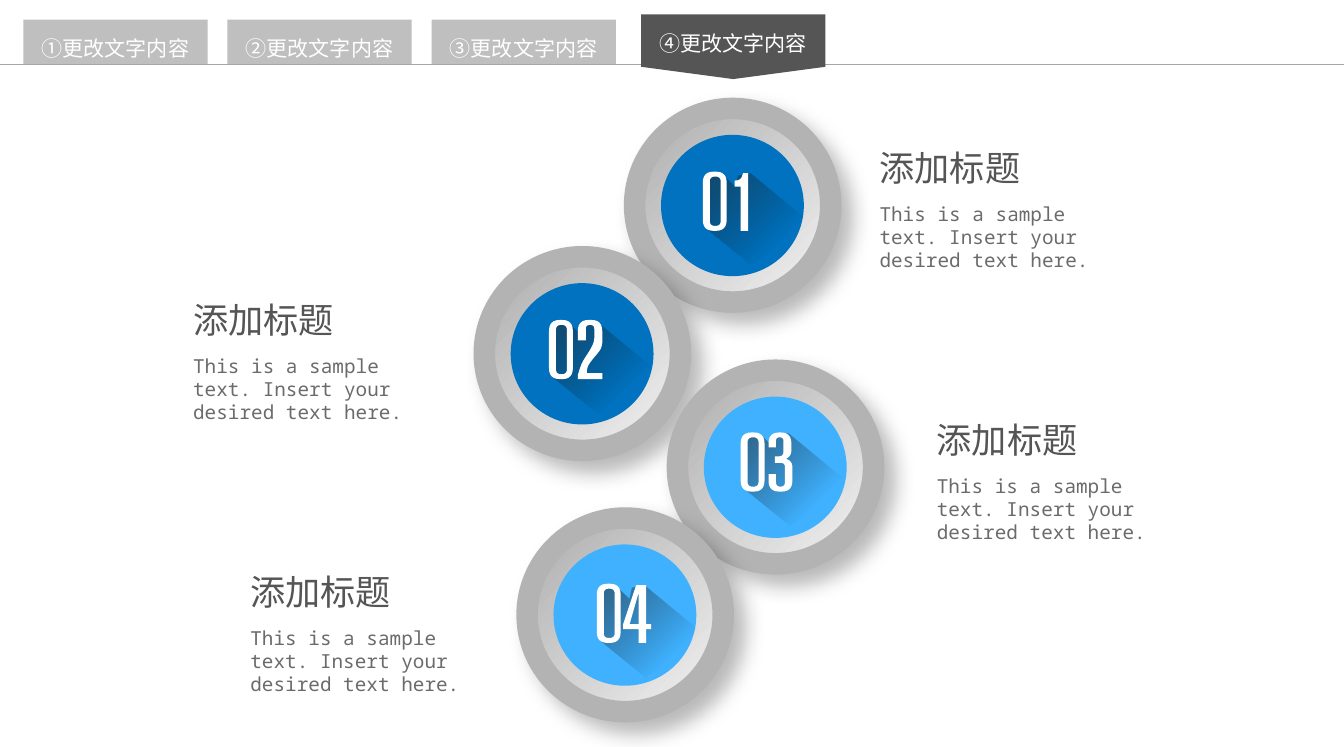
from math import dist

from lxml.etree import SubElement
from pptx import Presentation
from pptx.dml.color import RGBColor
from pptx.enum.shapes import MSO_CONNECTOR as Connector, MSO_SHAPE as Preset
from pptx.enum.text import MSO_ANCHOR as Anchor, MSO_AUTO_SIZE as AutoSize, PP_ALIGN as Align
from pptx.oxml.ns import qn
from pptx.util import Cm, Pt

WHITE = RGBColor(0xFF, 0xFF, 0xFF)
BLACK = RGBColor(0x00, 0x00, 0x00)
DARK = RGBColor(0x55, 0x55, 0x55)
TEXT_GRAY = RGBColor(0x6B, 0x6B, 0x6B)
TAB_GRAY = RGBColor(0xBF, 0xBF, 0xBF)
RULE_GRAY = RGBColor(0xA6, 0xA6, 0xA6)
RING_GRAY = RGBColor(0xB3, 0xB3, 0xB3)
DISC_DARK = RGBColor(0xAD, 0xAD, 0xAD)
DISC_LIGHT = RGBColor(0xF3, 0xF3, 0xF3)
SHADE = RGBColor(0x27, 0x27, 0x27)
SHADE_DEEP = RGBColor(0x0D, 0x0D, 0x0D)
BLUE = RGBColor(0x00, 0x72, 0xBF)
SKY = RGBColor(0x3F, 0xB1, 0xFF)

HEADING_FONT = "Noto Sans CJK SC"
BODY_FONT = "Noto Sans Mono"
HEADING = "添加标题"
BODY = "This is a sample text. Insert your desired text here."
TABS = ["①更改文字内容", "②更改文字内容", "③更改文字内容"]
ACTIVE_TAB = "④更改文字内容"

LONG_SHADE = [[(0.99, 1.88), (0.08, 1.14), (0.08, 0.1), (0.43, 0.08),
               (0.66, 0.3), (0.71, 0.08), (0.96, 0.03), (2.12, 0.99)]]
ZERO = [
    [(0, 0, 0.22), (0.48, 0, 0.22), (0.48, 1.19, 0.22), (0, 1.19, 0.22)],
    [(0.14, 0.1, 0.1), (0.36, 0.1, 0.1), (0.36, 1.09, 0.1), (0.14, 1.09, 0.1)],
]
ONE = [[(0.64, 0.18), (0.76, 0.17, 0.08), (0.81, 0.03), (0.91, 0.03),
        (0.91, 1.19), (0.76, 1.19), (0.76, 0.3), (0.64, 0.3)]]
TWO = [[(0.58, 0.41), (0.58, 0, 0.22), (1.07, 0, 0.22), (1.07, 0.46), (1.05, 0.58, 0.08),
        (0.86, 0.81), (0.76, 0.95, 0.1), (0.76, 1.07), (1.07, 1.07), (1.07, 1.19),
        (0.58, 1.19), (0.58, 1.1), (0.66, 0.86, 0.1), (0.84, 0.58, 0.08),
        (0.91, 0.43, 0.08), (0.91, 0.1, 0.08), (0.74, 0.1, 0.08), (0.74, 0.41)]]
THREE = [[(0.71, 0.84), (0.71, 1.09, 0.09), (0.89, 1.09, 0.09), (0.89, 0.61, 0.09),
          (0.69, 0.61), (0.69, 0.48), (0.86, 0.48, 0.09), (0.86, 0.1, 0.07),
          (0.71, 0.1, 0.07), (0.71, 0.3), (0.56, 0.3), (0.56, 0, 0.22),
          (1.02, 0, 0.22), (1.02, 0.48, 0.12), (0.91, 0.53), (1.04, 0.58, 0.12),
          (1.04, 1.19, 0.22), (0.56, 1.19, 0.22), (0.56, 0.84)]]
FOUR = [
    [(0.79, 0.03), (0.99, 0.03), (0.99, 0.81), (1.09, 0.81), (1.09, 0.91), (0.99, 0.91),
     (0.99, 1.19), (0.84, 1.19), (0.84, 0.91), (0.53, 0.91), (0.53, 0.81)],
    [(0.84, 0.81), (0.84, 0.18), (0.66, 0.81)],
]

BADGES = [
    (12.75, 2.18, BLUE, ONE, 1.37, 1.27),
    (9.73, 5.16, BLUE, TWO, 1.3, 1.27),
    (13.61, 7.44, SKY, THREE, 1.27, 1.25),
    (10.59, 10.41, SKY, FOUR, 1.4, 1.32),
]
CAPTIONS = [(17.42, 2.82), (18.57, 8.28), (3.63, 5.87), (4.78, 11.33)]


def write_text(box, text, *, size, color, font, align=Align.LEFT, spacing=None):
    frame = box.text_frame
    frame.word_wrap = True
    para = frame.paragraphs[0]
    para.alignment = align
    if spacing:
        para.line_spacing = spacing
    span = para.add_run()
    span.text = text
    span.font.size = Pt(size)
    span.font.color.rgb = color
    span.font.name = font
    SubElement(span.font._element, qn("a:ea"), typeface=font)


def toward(corner, target, radius):
    share = radius / dist(corner, target)
    return tuple(a + (b - a) * share for a, b in zip(corner, target))


def rounded(corners, steps=6):
    points = []
    for index, (x, y, *radius) in enumerate(corners):
        if not radius:
            points.append((x, y))
            continue
        before = corners[index - 1][:2]
        after = corners[(index + 1) % len(corners)][:2]
        start = toward((x, y), before, radius[0])
        end = toward((x, y), after, radius[0])
        for t in (step / steps for step in range(steps + 1)):
            points.append(tuple(
                (1 - t) ** 2 * a + 2 * t * (1 - t) * b + t * t * c
                for a, b, c in zip(start, (x, y), end)))
    return [(Cm(x), Cm(y)) for x, y in points]


def add_color(parent, color, opacity):
    node = SubElement(parent, qn("a:srgbClr"), val=str(color))
    SubElement(node, qn("a:alpha"), val=str(opacity * 1000))


def fill_gradient(shape, stops):
    shape.fill.gradient()
    shape.fill.gradient_angle = 315
    stop_list = shape._element.spPr.find(".//" + qn("a:gsLst"))
    for old in list(stop_list):
        stop_list.remove(old)
    for position, color, opacity in stops:
        add_color(SubElement(stop_list, qn("a:gs"), pos=str(position * 1000)), color, opacity)


class Sketch:
    """Draw the styled elements of the current slide."""

    def __init__(self, page):
        self.page = page
        self.shapes = page.shapes

    def plain(self, shape, color=None):
        shape.shadow.inherit = False
        shape.line.fill.background()
        if color is not None:
            shape.fill.solid()
            shape.fill.fore_color.rgb = color
        return shape

    def preset(self, kind, x, y, width, height, color=None):
        return self.plain(self.shapes.add_shape(kind, Cm(x), Cm(y), Cm(width), Cm(height)), color)

    def outline(self, contours, x, y, color=None):
        first, *others = [rounded(contour) for contour in contours]
        builder = self.shapes.build_freeform(*first[0])
        builder.add_line_segments(first[1:], close=True)
        for points in others:
            builder.move_to(*points[0])
            builder.add_line_segments(points[1:], close=True)
        return self.plain(builder.convert_to_shape(Cm(x), Cm(y)), color)

    def badge(self, x, y, color, digit, digit_x, digit_y):
        ring = self.preset(Preset.OVAL, x, y, 3.94, 3.89)
        fill_gradient(ring, [(0, DISC_DARK, 100), (100, DISC_LIGHT, 100)])
        ring.line.color.rgb = RING_GRAY
        ring.line.width = Pt(12.25)
        effects = ring._element.spPr.find(qn("a:effectLst"))
        shadow = SubElement(effects, qn("a:outerShdw"), blurRad=str(Pt(12)), dist=str(Pt(9)),
                            dir="2700000", algn="tl", rotWithShape="0")
        add_color(shadow, BLACK, 28)
        self.preset(Preset.OVAL, x + 0.53, y + 0.53, 2.87, 2.84, color)
        left, top = x + digit_x, y + digit_y
        shade = self.outline(LONG_SHADE, left, top)
        fill_gradient(shade, [(0, SHADE, 55), (73, SHADE_DEEP, 0), (100, SHADE, 0)])
        self.outline(ZERO, left, top, WHITE)
        self.outline(digit, left, top, WHITE)

    def text(self, text, x, y, width, height, **style):
        box = self.shapes.add_textbox(Cm(x), Cm(y), Cm(width), Cm(height))
        write_text(box, text, **style)
        return box

    def caption(self, x, y):
        self.text(BODY, x, y + 1.12, 5.33, 1.2, size=11, color=TEXT_GRAY, font=BODY_FONT)
        self.text(HEADING, x, y, 4.04, 1.12, size=20, color=DARK, font=HEADING_FONT)

    def rule(self, y, width):
        line = self.shapes.add_connector(Connector.STRAIGHT, 0, Cm(y), Cm(width), Cm(y))
        line.line.color.rgb = RULE_GRAY
        line.line.width = Pt(0.75)
        SubElement(line._element.spPr, qn("a:effectLst"))

    def tab(self, text, center, middle, depth, color, point, text_y, title=None):
        plate = self.preset(Preset.PENTAGON, center - depth / 2, middle - 1.85, depth, 3.7, color)
        plate.rotation = 90
        plate.adjustments[0] = point
        box = title or self.shapes.add_textbox(0, 0, 0, 0)
        box.left, box.top, box.width, box.height = Cm(center - 2.87), Cm(text_y), Cm(5.74), Cm(0.69)
        self.shapes._spTree.append(box._element)
        frame = box.text_frame
        frame.margin_left = frame.margin_right = frame.margin_top = frame.margin_bottom = 0
        frame.vertical_anchor = Anchor.TOP
        frame.auto_size = AutoSize.NONE
        write_text(box, text, size=12, color=WHITE, font=HEADING_FONT,
                   align=Align.CENTER, spacing=1.2)


def main():
    deck = Presentation()
    deck.slide_width, deck.slide_height = Cm(27), Cm(15.01)
    page = deck.slides.add_slide(deck.slide_layouts[5])
    sketch = Sketch(page)
    for badge in BADGES:
        sketch.badge(*badge)
    for place in CAPTIONS:
        sketch.caption(*place)
    sketch.rule(1.3, 27)
    for index, label in enumerate(TABS):
        sketch.tab(label, 2.32 + 4.1 * index, 0.84, 0.89, TAB_GRAY, 0, 0.61)
    sketch.tab(ACTIVE_TAB, 14.73, 0.94, 1.3, DARK, 0.19, 0.51, page.shapes.title)
    deck.save("out.pptx")


if __name__ == "__main__":
    main()
